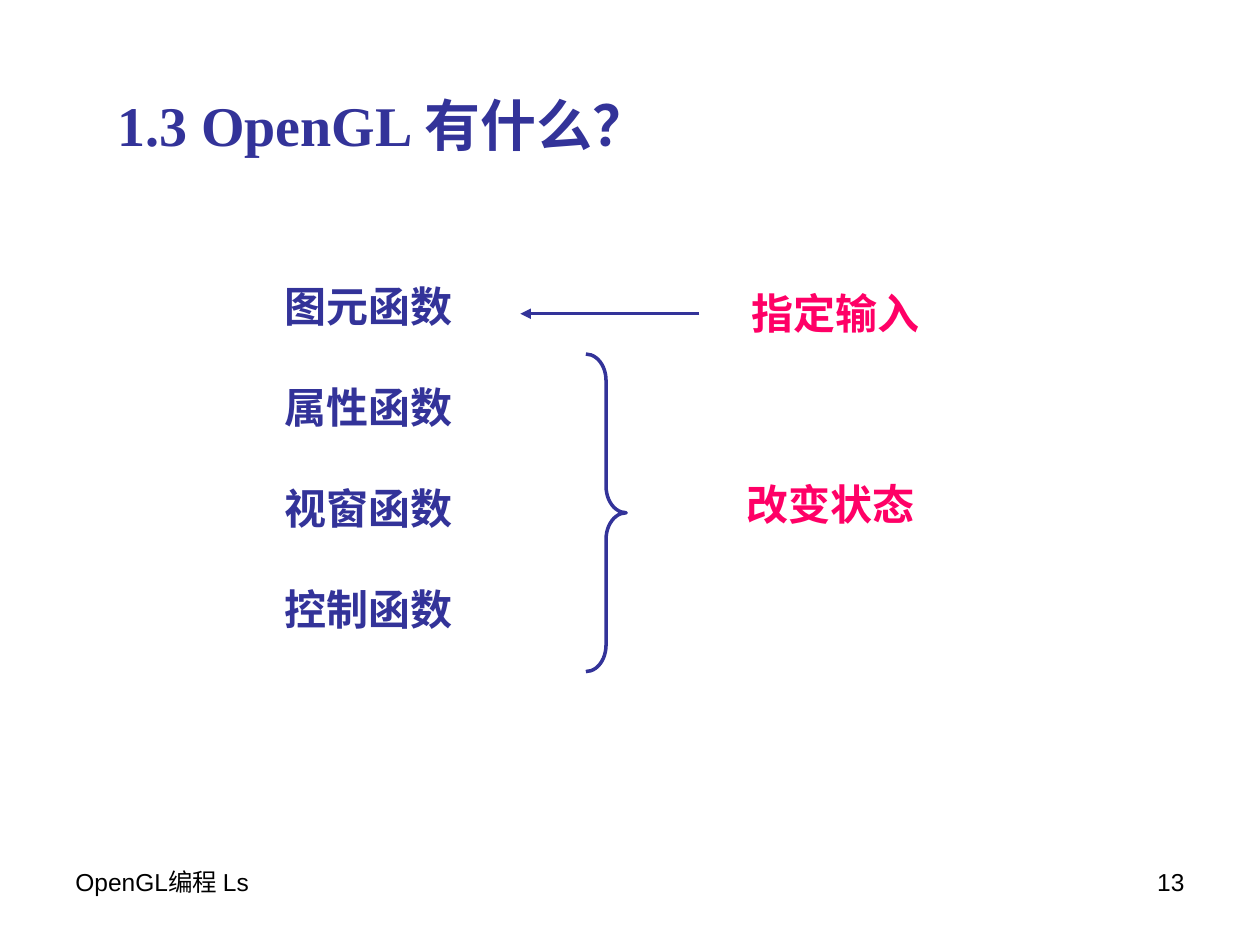
from lxml import etree
from pptx import Presentation
from pptx.dml.color import RGBColor
from pptx.enum.shapes import MSO_CONNECTOR, MSO_SHAPE
from pptx.enum.text import MSO_ANCHOR, MSO_AUTO_SIZE, PP_ALIGN
from pptx.oxml.ns import qn
from pptx.util import Inches, Pt

LEFT, RIGHT = PP_ALIGN.LEFT, PP_ALIGN.RIGHT
TOP = MSO_ANCHOR.TOP
NO_AUTOFIT = MSO_AUTO_SIZE.NONE
STRAIGHT = MSO_CONNECTOR.STRAIGHT
RIGHT_BRACE = MSO_SHAPE.RIGHT_BRACE

THEME = {
    "blue": RGBColor(0x33, 0x33, 0x99),
    "pink": RGBColor(0xFF, 0x00, 0x66),
    "black": RGBColor(0, 0, 0),
    "title_font": "Times New Roman",
    "body_font": "Arial",
    "title_size": Pt(32),
    "body_size": Pt(24),
    "footer_size": Pt(14),
    "line_width": Pt(2),
}

presentation = Presentation()
presentation.slide_width, presentation.slide_height = Inches(10), Inches(7.5)
slide = presentation.slides.add_slide(presentation.slide_layouts[5])


def write(shape, lines, font, size, color, bold=True, align=LEFT, gap=0):
    """Fill a shape with one paragraph per line, gap points apart."""
    frame = shape.text_frame
    frame.text = "\n".join(lines)
    frame.word_wrap = True
    frame.auto_size = NO_AUTOFIT
    frame.vertical_anchor = TOP
    for index, paragraph in enumerate(frame.paragraphs):
        paragraph.alignment = align
        if index and gap:
            paragraph.space_before = Pt(gap)
        for run in paragraph.runs:
            run.font.name = THEME[font]
            run.font.size = THEME[size]
            run.font.bold = bold
            run.font.color.rgb = THEME[color]


def add_text(left, top, width, height):
    return slide.shapes.add_textbox(
        Inches(left), Inches(top), Inches(width), Inches(height))


# Title
title = slide.shapes.title
title.left, title.top = Inches(0.83), Inches(0.67)
title.width, title.height = Inches(5.12), Inches(0.64)
write(title, ["1.3 OpenGL 有什么？"], "title_font", "title_size", "blue")

# Kinds of function, one blank line's height apart
functions = ["图元函数", "属性函数", "视窗函数", "控制函数"]
write(add_text(2.16, 2.18, 1.81, 2.9), functions,
      "body_font", "body_size", "blue", gap=28.8)

# What the functions do
for label, left, top in [("指定输入", 5.87, 2.23), ("改变状态", 5.83, 3.75)]:
    write(add_text(left, top, 1.53, 0.5), [label],
          "body_font", "body_size", "pink")

# Arrow from the input label to the first function
arrow = slide.shapes.add_connector(
    STRAIGHT, Inches(5.55), Inches(2.49), Inches(4.13), Inches(2.49))
arrow.line.color.rgb = THEME["blue"]
arrow.line.width = THEME["line_width"]
etree.SubElement(arrow.line._get_or_add_ln(), qn("a:tailEnd"), type="triangle")
etree.SubElement(arrow._element.spPr, qn("a:effectLst"))

# Brace around the state functions
brace = slide.shapes.add_shape(
    RIGHT_BRACE, Inches(4.65), Inches(2.81), Inches(0.32), Inches(2.52))
brace.adjustments[0] = 0.66
brace.shadow.inherit = False
brace.fill.background()
brace.line.color.rgb = THEME["blue"]
brace.line.width = THEME["line_width"]

# Footer and page number
for text, left, align in [("OpenGL编程 Ls", 0.5, LEFT), ("13", 7.17, RIGHT)]:
    write(add_text(left, 6.83, 2.33, 0.52), [text],
          "body_font", "footer_size", "black", bold=False, align=align)

presentation.save("out.pptx")
